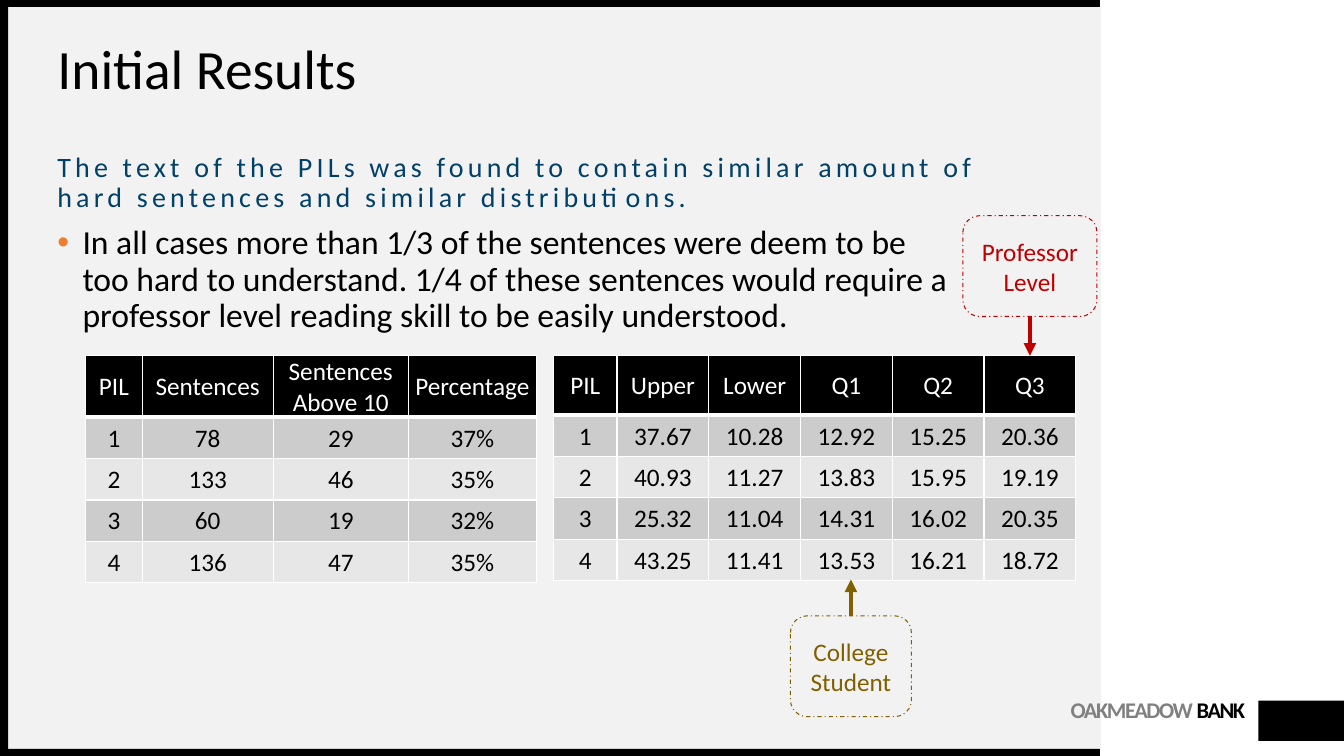
from lxml import etree
from pptx import Presentation
from pptx.dml.color import RGBColor
from pptx.enum import dml, shapes, text
from pptx.oxml.ns import qn
from pptx.util import Inches, Pt

FONT = "Calibri"
BLACK, WHITE, PANEL = "000000", "FFFFFF", "F2F2F2"
GOLD, RED, ORANGE, NAVY, GREY = "806000", "C00000", "ED7D31", "014067", "808080"
BANDS = ["E7E7E7", "CCCCCC"]

SENTENCE_ROWS = [
    ["PIL", "Sentences", "Sentences Above 10", "Percentage"],
    ["1", "78", "29", "37%"],
    ["2", "133", "46", "35%"],
    ["3", "60", "19", "32%"],
    ["4", "136", "47", "35%"],
]
LEVEL_ROWS = [
    ["PIL", "Upper", "Lower", "Q1", "Q2", "Q3"],
    ["1", "37.67", "10.28", "12.92", "15.25", "20.36"],
    ["2", "40.93", "11.27", "13.83", "15.95", "19.19"],
    ["3", "25.32", "11.04", "14.31", "16.02", "20.35"],
    ["4", "43.25", "11.41", "13.53", "16.21", "18.72"],
]


def rgb(value):
    return RGBColor.from_string(value)


def box(left, top, width, height):
    return [Inches(value) for value in (left, top, width, height)]


def add_run(paragraph, words, size, color, bold=False, tracking=0):
    run = paragraph.add_run()
    run.text = words
    run.font.name = FONT
    run.font.size = Pt(size)
    run.font.bold = bold
    run.font.color.rgb = rgb(color)
    if tracking:
        run.font._element.set("spc", str(tracking * 100))


def add_block(slide, area, color):
    shape = slide.shapes.add_shape(shapes.MSO_SHAPE.RECTANGLE, *box(*area))
    shape.shadow.inherit = False
    shape.fill.solid()
    shape.fill.fore_color.rgb = rgb(color)
    shape.line.fill.background()


def add_text_box(slide, area):
    """Add a wrapping text box and return its first paragraph."""
    frame = slide.shapes.add_textbox(*box(*area)).text_frame
    frame.word_wrap = True
    return frame.paragraphs[0]


def add_body_text(slide, area, words, size, color, tracking=0):
    paragraph = add_text_box(slide, area)
    paragraph.line_spacing = 0.9
    paragraph.space_before = Pt(10)
    add_run(paragraph, words, size, color, tracking=tracking)
    return paragraph


def add_bullet(paragraph, color):
    properties = paragraph._p.get_or_add_pPr()
    properties.set("marL", str(Inches(0.25)))
    properties.set("indent", str(-Inches(0.25)))
    bullet_color = etree.SubElement(properties, qn("a:buClr"))
    etree.SubElement(bullet_color, qn("a:srgbClr"), val=color)
    etree.SubElement(properties, qn("a:buFont"), typeface="Arial")
    etree.SubElement(properties, qn("a:buChar"), char="•")


def set_borders(cell, top, bottom):
    properties = cell._tc.get_or_add_tcPr()
    for side, width in (("L", 1), ("R", 1), ("T", top), ("B", bottom)):
        line = etree.SubElement(properties, qn(f"a:ln{side}"), w=str(Pt(width)))
        fill = etree.SubElement(line, qn("a:solidFill"))
        etree.SubElement(fill, qn("a:srgbClr"), val=WHITE)


def add_table(slide, left, top, widths, rows):
    heights = [0.59] + [0.41] * (len(rows) - 1)
    area = box(left, top, sum(widths), sum(heights))
    table = slide.shapes.add_table(len(rows), len(widths), *area).table
    for column, width in zip(table.columns, widths):
        column.width = Inches(width)
    for index, (values, height) in enumerate(zip(rows, heights)):
        table.rows[index].height = Inches(height)
        header = index == 0
        for cell, value in zip(table.rows[index].cells, values):
            set_borders(cell, 3 if index == 1 else 1, 3 if header else 1)
            cell.fill.solid()
            cell.fill.fore_color.rgb = rgb(BLACK if header else BANDS[index % 2])
            cell.vertical_anchor = text.MSO_ANCHOR.MIDDLE
            cell.margin_left = cell.margin_right = cell.margin_top = Inches(0.01)
            cell.margin_bottom = 0
            paragraph = cell.text_frame.paragraphs[0]
            paragraph.alignment = text.PP_ALIGN.CENTER
            add_run(paragraph, value, 18, WHITE if header else BLACK)


def add_callout(slide, area, words, color, side, tip):
    """Add a dashed label with an arrow from one side to the height tip."""
    shape = slide.shapes.add_shape(shapes.MSO_SHAPE.ROUNDED_RECTANGLE, *box(*area))
    shape.shadow.inherit = False
    shape.fill.background()
    shape.line.color.rgb = rgb(color)
    shape.line.width = Pt(0.75)
    shape.line.dash_style = dml.MSO_LINE.DASH_DOT
    shape.text_frame.vertical_anchor = text.MSO_ANCHOR.MIDDLE
    paragraph = shape.text_frame.paragraphs[0]
    paragraph.alignment = text.PP_ALIGN.CENTER
    add_run(paragraph, words, 18, color)

    middle = shape.left + shape.width // 2
    start = shape.top if side == 0 else shape.top + shape.height
    arrow = slide.shapes.add_connector(
        shapes.MSO_CONNECTOR.STRAIGHT, middle, start, middle, Inches(tip))
    arrow.begin_connect(shape, side)
    arrow.line.color.rgb = rgb(color)
    arrow.line.width = Pt(3)
    etree.SubElement(arrow.line._get_or_add_ln(), qn("a:tailEnd"), type="triangle")
    etree.SubElement(arrow._element.spPr, qn("a:effectLst"))


def add_background(slide):
    add_block(slide, (0.08, 0.07, 10.84, 7.36), PANEL)
    add_block(slide, (12.48, 6.95, 0.86, 0.4), BLACK)
    for edge in ((0, 7.43, 10.91, 0.07), (0, 0, 10.91, 0.07), (0, 0, 0.08, 7.5)):
        add_block(slide, edge, BLACK)


def add_bank_name(slide):
    paragraph = add_text_box(slide, (10.53, 6.94, 1.82, 0.44))
    frame = paragraph._parent
    frame.margin_left = frame.margin_right = frame.margin_bottom = 0
    frame.margin_top = Inches(0.04)
    paragraph.alignment = text.PP_ALIGN.RIGHT
    paragraph.line_spacing = Pt(14)
    add_run(paragraph, "OAKMEADOW ", 16, GREY, bold=True, tracking=-1)
    add_run(paragraph, "BANK", 16, BLACK, bold=True, tracking=-1)


def set_title(slide, words):
    title = slide.shapes.title
    title.left, title.top, title.width, title.height = box(0.47, 0.47, 10.06, 0.47)
    frame = title.text_frame
    frame.auto_size = text.MSO_AUTO_SIZE.NONE
    frame.vertical_anchor = text.MSO_ANCHOR.MIDDLE
    paragraph = frame.paragraphs[0]
    paragraph.alignment = text.PP_ALIGN.LEFT
    paragraph.line_spacing = 0.9
    add_run(paragraph, words, 39.6, BLACK)
    # Bring the title in front of the background panel
    title.element.getparent().append(title.element)


def main():
    presentation = Presentation()
    presentation.slide_width = Inches(13.33)
    presentation.slide_height = Inches(7.5)
    slide = presentation.slides.add_slide(presentation.slide_layouts[5])

    # Frame and heading
    add_background(slide)
    add_bank_name(slide)
    set_title(slide, "Initial Results")

    # Findings
    finding = add_body_text(
        slide, (0.47, 2.19, 9.08, 1.3),
        "In all cases more than 1/3 of the sentences were deem to be too hard to "
        "understand. 1/4 of these sentences would require a professor level "
        "reading skill to be easily understood.", 24, BLACK)
    add_bullet(finding, ORANGE)
    add_body_text(
        slide, (0.47, 1.47, 9.73, 0.67),
        "The text of the PILs was found to contain similar amount of hard "
        "sentences and similar distributions.", 20, NAVY, tracking=3)

    # Tables
    add_table(slide, 0.85, 3.53, [0.56, 1.3, 1.34, 1.27], SENTENCE_ROWS)
    add_table(slide, 5.49, 3.53, [0.63] + [0.91] * 5, LEVEL_ROWS)

    # Reading levels
    add_callout(slide, (7.84, 6.11, 1.2, 1), "College Student", GOLD, 0, 5.75)
    add_callout(slide, (9.55, 2.14, 1.33, 1), "Professor Level", RED, 2, 3.53)

    presentation.save("out.pptx")


if __name__ == "__main__":
    main()
